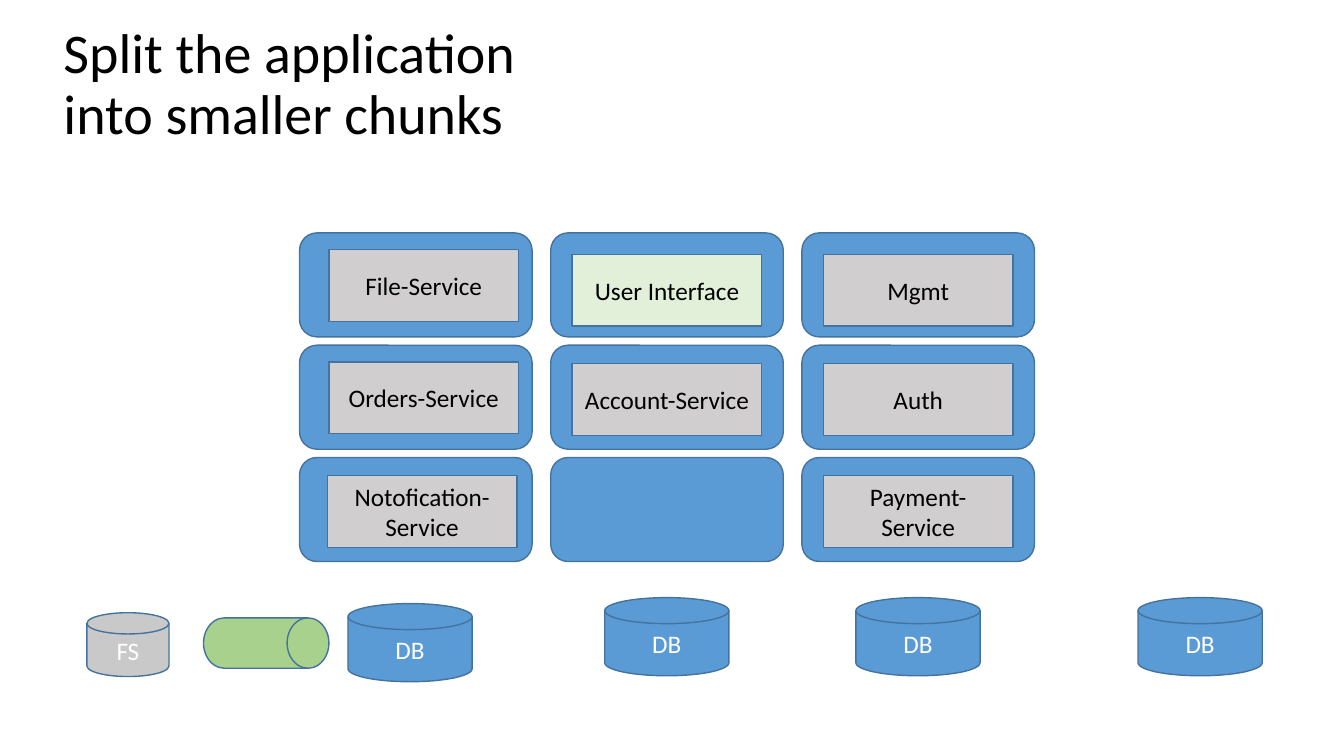
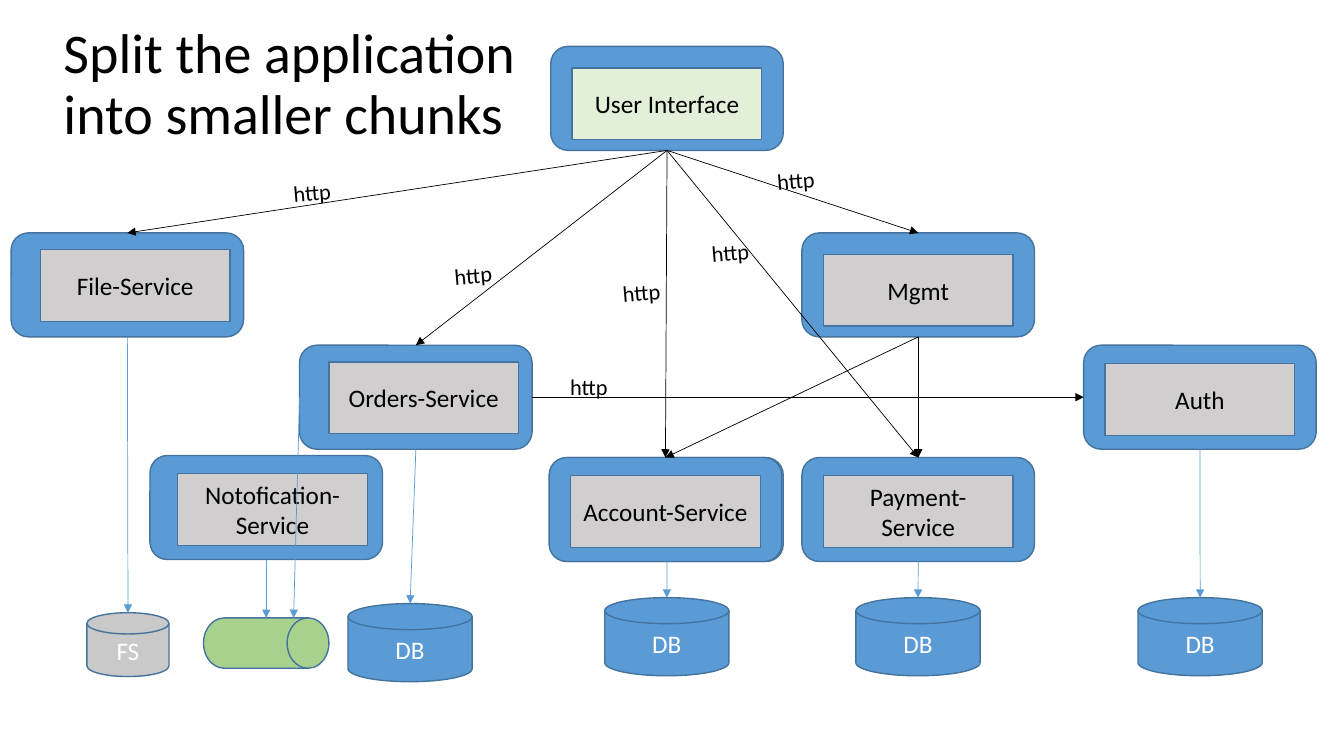
from lxml.etree import SubElement
from pptx import Presentation
from pptx.dml.color import RGBColor
from pptx.enum.shapes import MSO_CONNECTOR, MSO_SHAPE
from pptx.enum.text import MSO_ANCHOR, MSO_AUTO_SIZE, PP_ALIGN
from pptx.oxml.ns import qn
from pptx.util import Cm, Pt

FONT = "Calibri"
HEX = {
    "blue": "5B9BD5", "edge": "43739E", "gray": "D0CECE", "mint": "E2F0D9",
    "green": "A9D18E", "steel": "C9C9C9", "black": "000000", "white": "FFFFFF",
}
TITLE = "Split the application into smaller chunks"
HEAD = (1.35, 0.51, 12.01, 3.48)
GRID = (7.55, 5.87, 18.52, 8.28)
BASE = (2.19, 15.06, 29.62, 2.13)
NOTES = (7.14, 4.01, 15.03, 6.2)
BOX = (5.86, 2.62)
CARD = (4.78, 1.81)
DISK = (3.13, 1.97)
TOP, LEFT, BOTTOM, RIGHT = range(4)

HOMES = {
    "": (1, 2, 0, 0),
    "User Interface": (1, 0, 0.54, 0.54),
    "Account-Service": (1, 1, 0.54, 0.46),
    "Auth": (2, 1, 0.54, 0.46),
    "Mgmt": (2, 0, 0.54, 0.54),
    "Payment-Service": (2, 2, 0.54, 0.46),
    "File-Service": (0, 0, 0.74, 0.42),
    "Orders-Service": (0, 1, 0.74, 0.42),
    "Notofication-Service": (0, 2, 0.7, 0.46),
}
MOVES = {
    "User Interface": (0, -4.7),
    "Account-Service": (-0.04, 2.83),
    "Auth": (7.1, 0),
    "File-Service": (-7.27, 0),
    "Notofication-Service": (-3.77, -0.05),
}
STORES = {
    "orders": (6.58, 0.15, *DISK, "DB", "blue"),
    "account": (13.05, 0, *DISK, "DB", "blue"),
    "payment": (19.38, 0, *DISK, "DB", "blue"),
    "auth": (26.49, 0, *DISK, "DB", "blue"),
    "queue": (2.94, 0.51, 3.16, 1.27, "", "green"),
    "files": (0, 0.38, 2.07, 1.61, "FS", "steel"),
}
CALLS = [
    ("User Interface", BOTTOM, "File-Service", TOP),
    ("User Interface", BOTTOM, "Mgmt", TOP),
    ("User Interface", BOTTOM, "Orders-Service", TOP),
    ("User Interface", BOTTOM, "Account-Service", TOP),
    ("User Interface", BOTTOM, "Payment-Service", TOP),
    ("Orders-Service", RIGHT, "Auth", LEFT),
    ("Mgmt", BOTTOM, "Account-Service", TOP),
    ("Mgmt", BOTTOM, "Payment-Service", TOP),
]
SAVES = [
    ("File-Service", BOTTOM, "files", 0),
    ("Notofication-Service", BOTTOM, "queue", 0),
    ("Orders-Service", LEFT, "queue", 0.69),
    ("Orders-Service", BOTTOM, "orders", 0),
    ("", BOTTOM, "account", 0),
    ("Payment-Service", BOTTOM, "payment", 0),
    ("Auth", BOTTOM, "auth", 0),
]
TAGS = [
    (0, 0.31, -4.7), (4.06, 2.39, -4.7), (8.3, 2.82, -4.7),
    (10.54, 1.83, -4.7), (12.19, 0, -4.7), (6.98, 5.26, 0),
]


def color(name):
    """Return the named colour."""
    return RGBColor.from_string(HEX[name])


def write(frame, text, size, tint):
    """Put one styled paragraph into a text frame."""
    frame.text = text
    frame.word_wrap = True
    line = frame.paragraphs[0]
    for run in line.runs:
        run.font.name = FONT
        run.font.size = Pt(size)
        run.font.color.rgb = color(tint)
    return line


def block(slide, kind, box, fill, text="", tint="white"):
    """Draw a filled shape with centred text."""
    shape = slide.shapes.add_shape(kind, *map(Cm, box))
    shape.shadow.inherit = False
    shape.fill.solid()
    shape.fill.fore_color.rgb = color(fill)
    shape.line.color.rgb = color("edge")
    shape.line.width = Pt(1)
    if text:
        write(shape.text_frame, text, 18, tint).alignment = PP_ALIGN.CENTER
        shape.text_frame.vertical_anchor = MSO_ANCHOR.MIDDLE
    return shape


def arrow(slide, start, side, tint, goal, shift=None):
    """Draw an arrow from a box side to a side or to a store's top."""
    line = slide.shapes.add_connector(MSO_CONNECTOR.STRAIGHT, 0, 0, 0, 0)
    line.begin_connect(start, side)
    shape, end = goal
    if shift is None:
        line.end_connect(shape, end)
    else:
        line.end_x = shape.left + shape.width // 2 + Cm(shift)
        line.end_y = shape.top
    line.line.color.rgb = color(tint)
    line.line.width = Pt(0.5)
    SubElement(line.line._get_or_add_ln(), qn("a:tailEnd"), type="triangle")
    SubElement(line._element.spPr, qn("a:effectLst"))


def title(slide, box):
    """Write the slide title."""
    frame = slide.shapes.add_textbox(*map(Cm, box)).text_frame
    line = write(frame, TITLE, 40, "black")
    line.line_spacing = 0.9
    line.space_before = Pt(10)


def stores(slide, box):
    """Draw the disks and the queue along the base."""
    made = {}
    for name, (x, y, wide, high, text, fill) in STORES.items():
        kind = (MSO_SHAPE.FLOWCHART_DIRECT_ACCESS_STORAGE if name == "queue"
                else MSO_SHAPE.FLOWCHART_MAGNETIC_DISK)
        place = (box[0] + x, box[1] + y, wide, high)
        made[name] = block(slide, kind, place, fill, text)
    return made


def parts(slide, box, moves):
    """Draw the service boxes on a grid, some of them moved away."""
    left, top, wide, high = box
    across, down = (wide - BOX[0]) / 2, (high - BOX[1]) / 2
    made = {}
    for name, (col, row, inx, iny) in HOMES.items():
        dx, dy = moves.get(name, (0, 0))
        x, y = left + col * across + dx, top + row * down + dy
        made[name] = block(slide, MSO_SHAPE.ROUNDED_RECTANGLE,
                           (x, y, *BOX), "blue")
        if name:
            fill = "mint" if name == "User Interface" else "gray"
            block(slide, MSO_SHAPE.RECTANGLE, (x + inx, y + iny, *CARD),
                  fill, name, "black")
    return made


def links(slide, cards, disks):
    """Draw the calls between services and the links to their stores."""
    for start, side, goal, end in CALLS:
        arrow(slide, cards[start], side, "black", (cards[goal], end))
    for start, side, goal, shift in SAVES:
        arrow(slide, cards[start], side, "blue", (disks[goal], TOP), shift)


def tags(slide, box):
    """Label the calls with their protocol."""
    for x, y, turn in TAGS:
        place = (box[0] + x, box[1] + y, 2.84, 0.94)
        label = slide.shapes.add_textbox(*map(Cm, place))
        label.rotation = turn
        write(label.text_frame, "http", 16, "black")
        label.text_frame.auto_size = MSO_AUTO_SIZE.SHAPE_TO_FIT_TEXT


def scene(deck, moves):
    """Add a slide with its title, stores and services."""
    slide = deck.slides.add_slide(deck.slide_layouts[6])
    disks = stores(slide, BASE)
    cards = parts(slide, GRID, moves)
    title(slide, HEAD)
    return slide, cards, disks


def main():
    """Build and save the deck."""
    deck = Presentation()
    deck.slide_width, deck.slide_height = Cm(33.87), Cm(19.05)
    scene(deck, {})
    slide, cards, disks = scene(deck, MOVES)
    links(slide, cards, disks)
    tags(slide, NOTES)
    deck.save("out.pptx")


if __name__ == "__main__":
    main()
